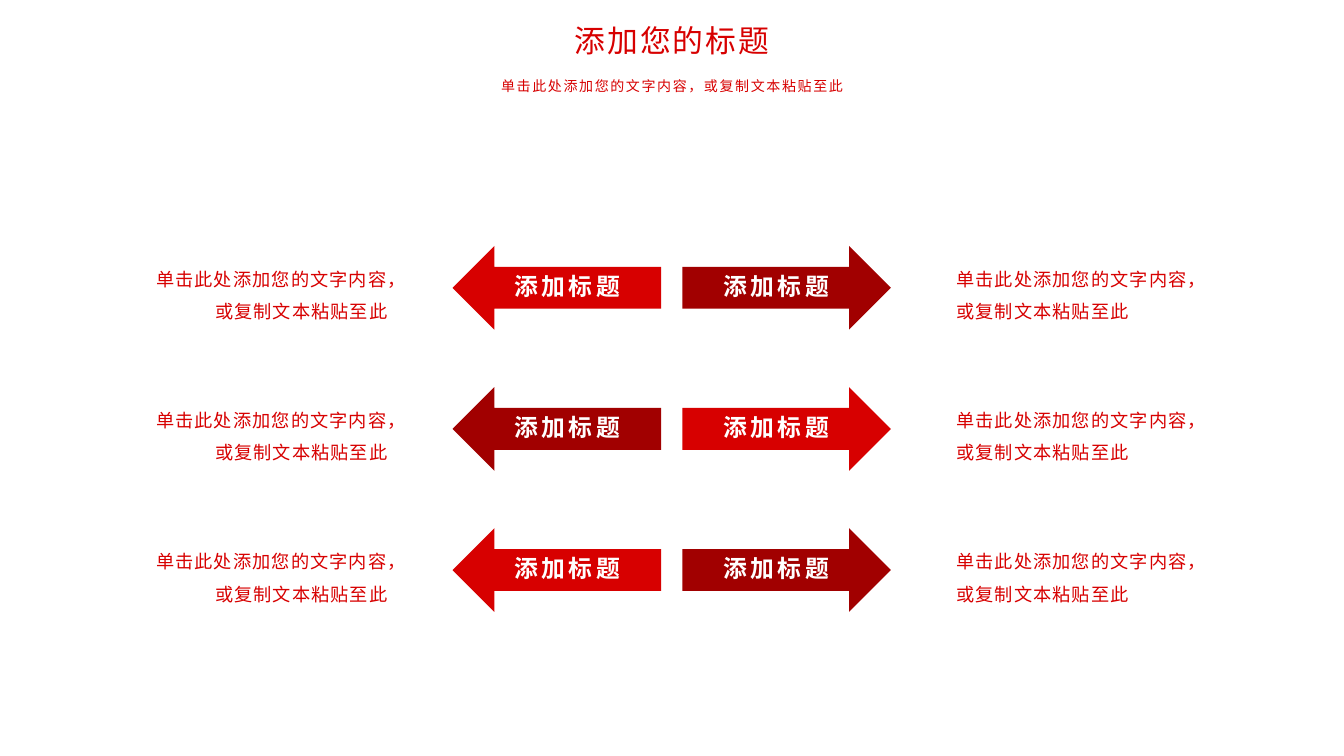
from pptx import Presentation
from pptx.dml.color import RGBColor
from pptx.enum.shapes import MSO_SHAPE
from pptx.enum.text import MSO_ANCHOR, PP_ALIGN
from pptx.oxml.ns import qn
from pptx.util import Pt
from lxml.etree import SubElement

# Content
TITLE = "添加您的标题"
BODY = "单击此处添加您的文字内容，或复制文本粘贴至此"
ROWS = [
    # (left label, left text, right label, right text)
    ("添加标题", BODY, "添加标题", BODY),
    ("添加标题", BODY, "添加标题", BODY),
    ("添加标题", BODY, "添加标题", BODY),
]

# Theme: text styles are (size, colour, bold, letter spacing in points)
RED, DARK_RED, WHITE = "D70000", "A10000", "FFFFFF"
THEME = {
    "font": "Arial",
    "arrow_fills": (RED, DARK_RED),
    "title": (22, RED, False, 1.5),
    "subtitle": (10, RED, False, 1.2),
    "body": (13, RED, False, 0.8),
    "label": (17, WHITE, True, 2.5),
}

# Layout in points
SLIDE_WIDTH, SLIDE_HEIGHT = 960, 540
HEADING_LEFT, HEADING_WIDTH = 126, 708
ROW_PITCH = 100.8
ARROW_TOP, ARROW_WIDTH, ARROW_HEIGHT = 175.7, 149, 59.8
ARROW_LEFTS = (323.3, 487.4)
TEXT_TOP, TEXT_WIDTH, TEXT_HEIGHT = 180, 184.3, 51.1
TEXT_LEFTS = (99.4, 676.1)


def write(shape, text, style, align, line_spacing=1.0):
    size, colour, bold, spacing = THEME[style]
    frame = shape.text_frame
    frame.word_wrap = True
    frame.text = text
    paragraph = frame.paragraphs[0]
    paragraph.alignment = align
    paragraph.line_spacing = line_spacing
    font = paragraph.runs[0].font
    font.name, font.size, font.bold = THEME["font"], Pt(size), bold
    font.color.rgb = RGBColor.from_string(colour)
    properties = paragraph.runs[0]._r.get_or_add_rPr()
    properties.set("spc", str(round(spacing * 100)))
    SubElement(properties, qn("a:ea")).set("typeface", THEME["font"])


def add_text(slide, box, text, style, align, line_spacing=1.0):
    shape = slide.shapes.add_textbox(*map(Pt, box))
    write(shape, text, style, align, line_spacing)


def add_arrow(slide, left, top, label, fill, points_left):
    shape = slide.shapes.add_shape(
        MSO_SHAPE.RIGHT_ARROW, Pt(left), Pt(top), Pt(ARROW_WIDTH), Pt(ARROW_HEIGHT))
    shape.shadow.inherit = False
    shape.fill.solid()
    shape.fill.fore_color.rgb = RGBColor.from_string(fill)
    shape.line.fill.background()
    if points_left:
        shape._element.spPr.xfrm.set("flipH", "1")
    shape.text_frame.margin_bottom = Pt(5.8)
    shape.text_frame.vertical_anchor = MSO_ANCHOR.MIDDLE
    write(shape, label, "label", PP_ALIGN.CENTER)


def main():
    presentation = Presentation()
    presentation.slide_width, presentation.slide_height = Pt(SLIDE_WIDTH), Pt(SLIDE_HEIGHT)
    slide = presentation.slides.add_slide(presentation.slide_layouts[6])

    # Heading
    add_text(slide, (HEADING_LEFT, 12.2, HEADING_WIDTH, 33.8), TITLE, "title", PP_ALIGN.CENTER)
    add_text(slide, (HEADING_LEFT, 46, HEADING_WIDTH, 23), BODY, "subtitle", PP_ALIGN.CENTER, 1.5)

    # Rows: a pair of opposed arrows with text outside, colours alternating
    for row, (left_label, left_text, right_label, right_text) in enumerate(ROWS):
        offset = row * ROW_PITCH
        sides = ((left_label, left_text, PP_ALIGN.RIGHT), (right_label, right_text, PP_ALIGN.LEFT))
        for side, (label, text, align) in enumerate(sides):
            add_arrow(slide, ARROW_LEFTS[side], ARROW_TOP + offset, label,
                      THEME["arrow_fills"][(row + side) % 2], side == 0)
            add_text(slide, (TEXT_LEFTS[side], TEXT_TOP + offset, TEXT_WIDTH, TEXT_HEIGHT),
                     text, "body", align, 1.5)

    presentation.save("out.pptx")


if __name__ == "__main__":
    main()
